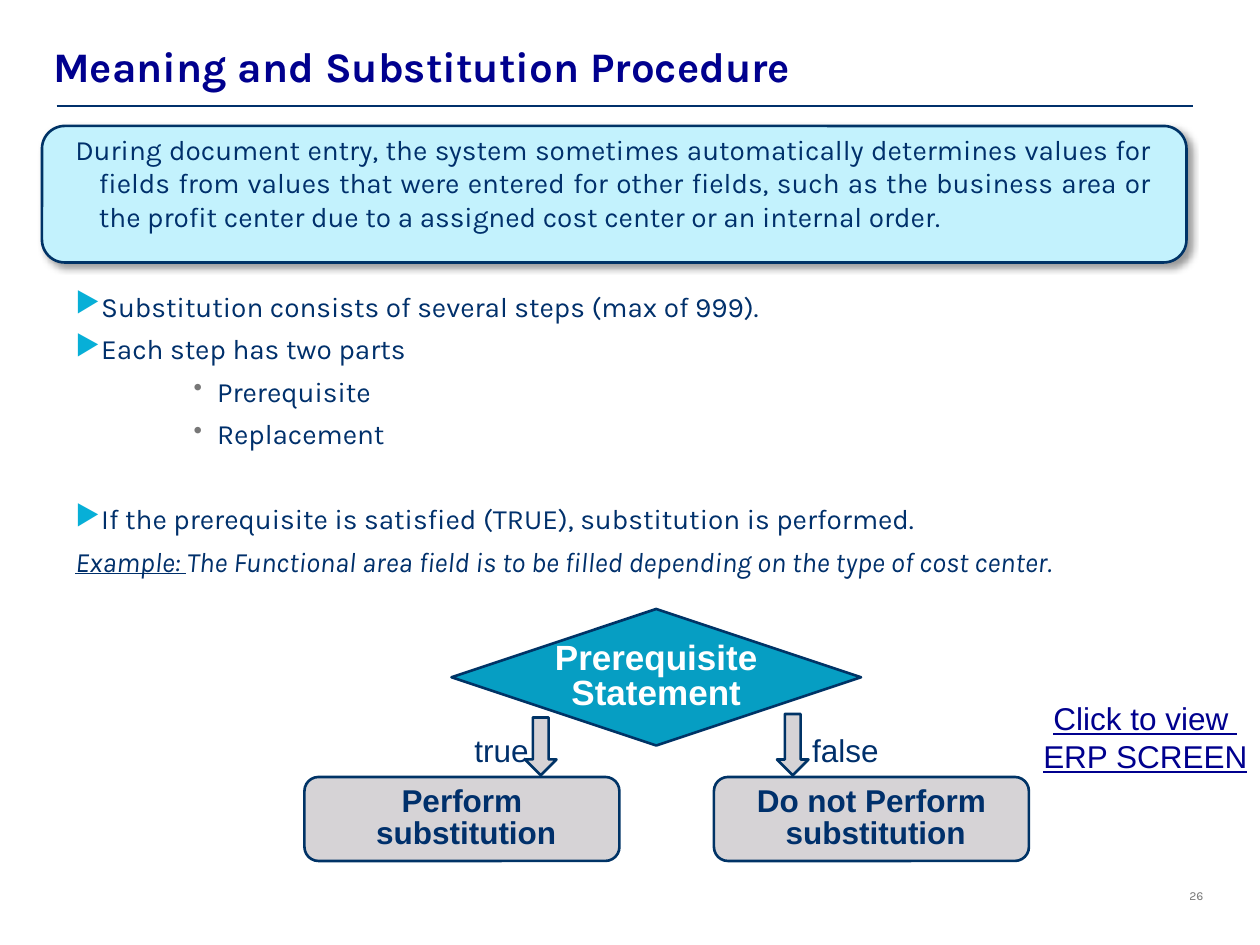
import pptx
import pptx.dml.color
import pptx.enum.shapes
import pptx.enum.text
import pptx.oxml.ns
import pptx.util
from lxml import etree

Pt = pptx.util.Pt
SHAPE = pptx.enum.shapes.MSO_SHAPE
ALIGN = pptx.enum.text.PP_ALIGN
ANCHOR = pptx.enum.text.MSO_ANCHOR
AUTO_SIZE = pptx.enum.text.MSO_AUTO_SIZE

NAVY, EDGE, TITLE, GREY, SILVER = "00306B", "003366", "00008E", "777777", "D6D3D6"
INTRO = ("During document entry, the system sometimes automatically determines values "
         "for fields from values that were entered for other fields, such as the business "
         "area or the profit center due to a assigned cost center or an internal order.")
TRIANGLE = ("▶", "07AFD7", 100)
DOT = ("•", GREY, 90)
POINTS = [
    ("Substitution consists of several steps (max of 999).", TRIANGLE, 13.5, 35),
    ("Each step has two parts", TRIANGLE, 13.5, 8),
    ("Prerequisite", DOT, 81, 8),
    ("Replacement", DOT, 81, 8),
    ("If the prerequisite is satisfied (TRUE), substitution is performed.", TRIANGLE, 13.5, 32.3),
]


def rgb(value):
    """Turn a hex string into a colour."""
    return pptx.dml.color.RGBColor.from_string(value)


def add_xml(parent, tag, **attrs):
    """Append a DrawingML element and return it."""
    return etree.SubElement(parent, pptx.oxml.ns.qn("a:" + tag), attrs)


def format_run(r, size, color, name="Karla", bold=False):
    """Set the font of a run."""
    r.font.name, r.font.size, r.font.bold = name, Pt(size), bold
    r.font.color.rgb = rgb(color)


def set_text(tf, lines, size, color, name="Arial", bold=False, align=None, spacing=None):
    """Fill a text frame with one paragraph a line."""
    tf.text = "\n".join(lines)
    for p in tf.paragraphs:
        p.alignment, p.line_spacing = align, spacing
        for r in p.runs:
            format_run(r, size, color, name, bold)


def place(s, left, top, width, height):
    """Move and size a shape."""
    s.left, s.top, s.width, s.height = Pt(left), Pt(top), Pt(width), Pt(height)


def add_title(slide, text):
    """Format the title placeholder."""
    s = slide.shapes.title
    place(s, 16, 18, 660, 43)
    tf = s.text_frame
    set_text(tf, [text], 24, TITLE, "Karla", True, ALIGN.LEFT, 0.9)
    tf.auto_size, tf.vertical_anchor = AUTO_SIZE.NONE, ANCHOR.MIDDLE
    tf.margin_left, tf.margin_right = Pt(14.4), Pt(8.6)
    tf.margin_top = tf.margin_bottom = Pt(2.9)


def add_rule(slide, left, right, y):
    """Draw the line under the title."""
    s = slide.shapes.add_connector(
        pptx.enum.shapes.MSO_CONNECTOR.STRAIGHT, Pt(left), Pt(y), Pt(right), Pt(y))
    s.line.color.rgb, s.line.width = rgb(NAVY), Pt(0.75)
    add_xml(s._element.spPr, "effectLst")


def add_block(slide, kind, box, fill, lines=(), size=18, color=NAVY):
    """Add an outlined shape with optional bold text."""
    s = slide.shapes.add_shape(kind, *map(Pt, box))
    s.shadow.inherit = False
    s.fill.solid()
    s.fill.fore_color.rgb = rgb(fill)
    s.line.color.rgb, s.line.width = rgb(EDGE), Pt(1.5)
    if lines:
        tf = s.text_frame
        tf.word_wrap, tf.vertical_anchor = False, ANCHOR.MIDDLE
        set_text(tf, lines, size, color, bold=True, align=ALIGN.CENTER, spacing=0.85)
    return s


def add_drop_shadow(s):
    """Give a shape a soft shadow to the lower right."""
    effects = s._element.spPr.find(pptx.oxml.ns.qn("a:effectLst"))
    shadow = add_xml(effects, "outerShdw", blurRad=str(Pt(4)), dist=str(Pt(3)),
                     dir="2700000", algn="tl", rotWithShape="0")
    add_xml(add_xml(shadow, "srgbClr", val="000000"), "alpha", val="40000")


def add_label(slide, box, lines, size=18, color=NAVY, name="Arial", align=None):
    """Add an unwrapped text box."""
    tf = slide.shapes.add_textbox(*map(Pt, box)).text_frame
    tf.word_wrap = False
    set_text(tf, lines, size, color, name, align=align)
    return tf


def add_paragraph(tf, texts, left=13.5, before=8, bullet=None):
    """Add a hanging paragraph with an optional bullet."""
    p = tf.add_paragraph() if tf.text else tf.paragraphs[0]
    p.space_before, p.line_spacing = Pt(before), 0.85
    pPr = p._p.get_or_add_pPr()
    pPr.set("marL", str(Pt(left)))
    pPr.set("indent", str(Pt(-13.5)))
    if bullet:
        char, color, percent = bullet
        add_xml(add_xml(pPr, "buClr"), "srgbClr", val=color)
        add_xml(pPr, "buSzPct", val=str(percent * 1000))
        add_xml(pPr, "buChar", char=char)
    for text in texts:
        r = p.add_run()
        r.text = text
        format_run(r, 16, NAVY)
    return p


def add_body(slide):
    """Add the introduction, the bullet points and the example."""
    tf = slide.shapes.add_textbox(Pt(36), Pt(72), Pt(629), Pt(383)).text_frame
    tf.word_wrap = True
    p = add_paragraph(tf, [INTRO], before=0)
    p.alignment, p.line_spacing = ALIGN.JUSTIFY, 1.0
    for text, bullet, left, before in POINTS:
        add_paragraph(tf, [text], left, before, bullet)
    p = add_paragraph(tf, ["Example: ", "The Functional area field is to be filled "
                           "depending on the type of cost center."])
    for r in p.runs:
        r.font.italic = True
    p.runs[0].font.underline = True


def add_flow(slide):
    """Add the decision with its two outcomes."""
    add_block(slide, SHAPE.DIAMOND, (258, 348, 234, 78), "069EC3",
              ["Prerequisite", "Statement"], 20, "FFFFFF")
    for left, first in ((174, "Perform"), (408, "Do not Perform")):
        add_block(slide, SHAPE.ROUNDED_RECTANGLE, (left, 444, 180, 48), SILVER,
                  [first, " substitution"])
    for left, top in ((300, 410), (444, 408)):
        add_block(slide, SHAPE.DOWN_ARROW, (left, top, 18, 443 - top), SILVER)
    add_label(slide, (264, 414, 46, 29), ["true"])
    add_label(slide, (457, 414, 52.6, 29), ["false"])


def main():
    """Build the slide and save it."""
    prs = pptx.Presentation()
    prs.slide_width, prs.slide_height = Pt(720), Pt(540)
    slide = prs.slides.add_slide(prs.slide_layouts[5])
    add_title(slide, "Meaning and Substitution Procedure")
    add_rule(slide, 32.4, 682, 60.5)
    add_drop_shadow(add_block(slide, SHAPE.ROUNDED_RECTANGLE, (24, 72, 654, 78), "C3F2FD"))
    add_body(slide)
    add_flow(slide)
    tf = add_label(slide, (589, 396, 131, 51), ["Click to view ", "ERP SCREEN"],
                   color=TITLE, align=ALIGN.CENTER)
    for p in tf.paragraphs:
        p.runs[0].font.underline = True
    add_label(slide, (672.5, 504, 37.5, 16), ["26"], 7, GREY, "Karla")
    prs.save("out.pptx")


if __name__ == "__main__":
    main()
